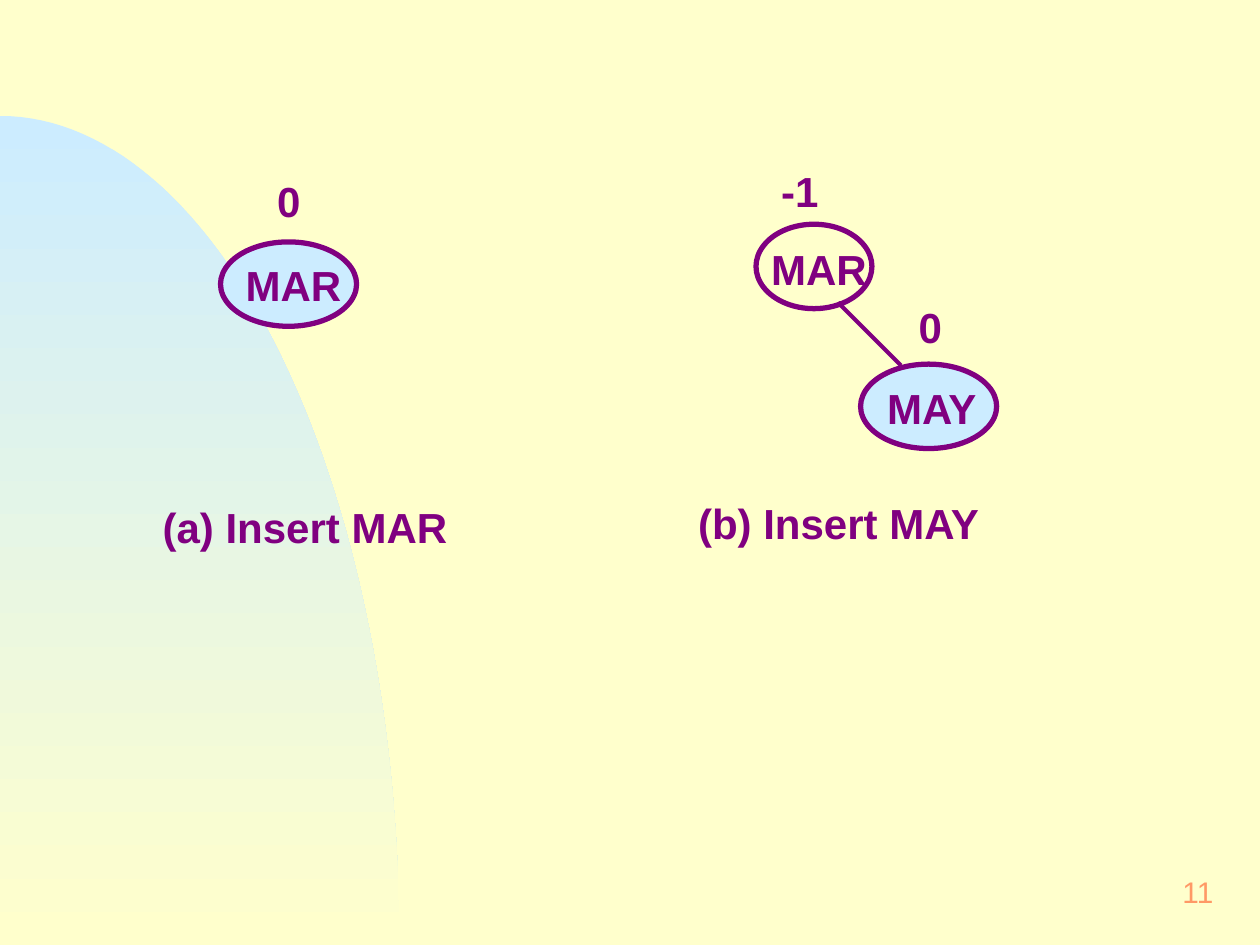
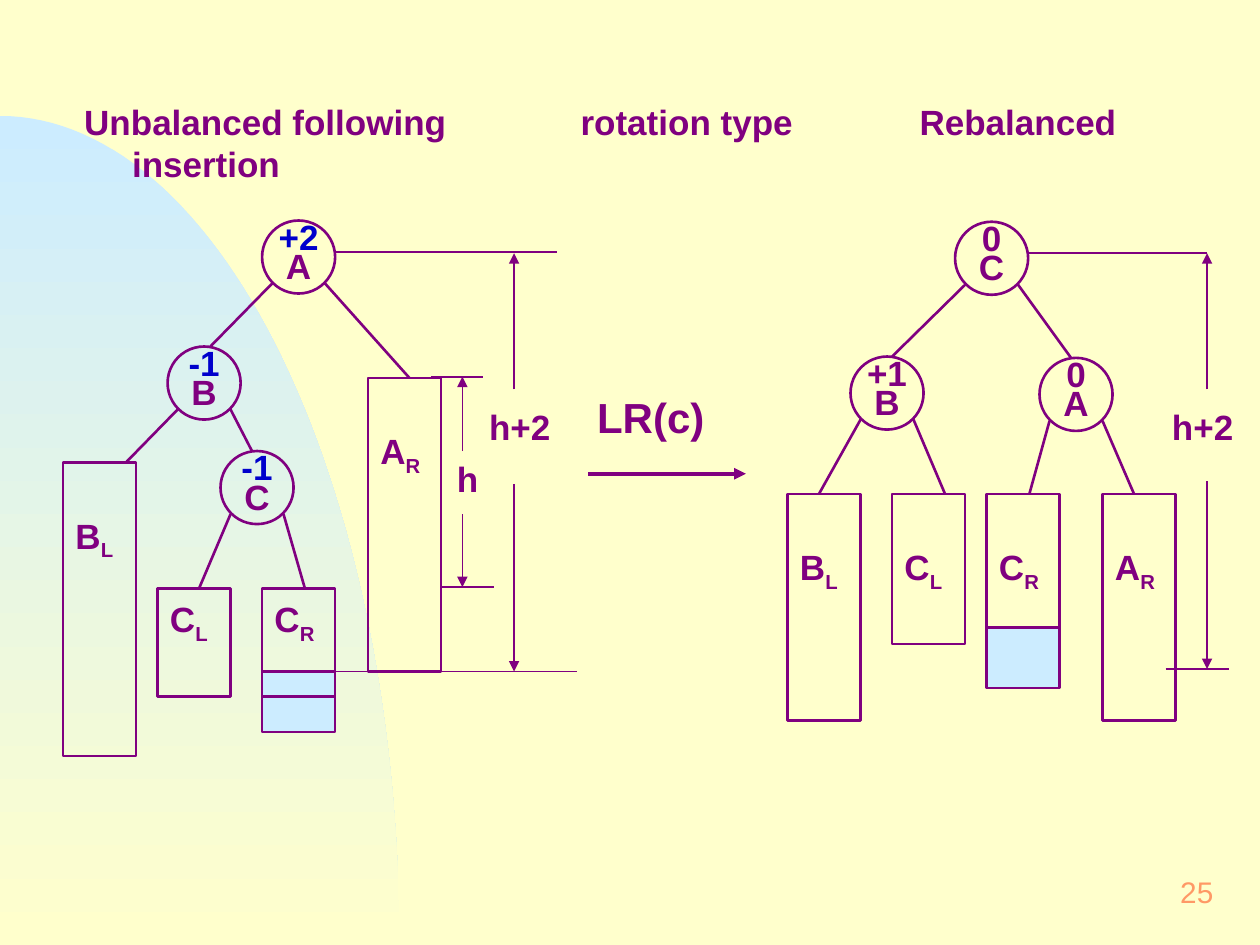
"""Build two slides on AVL trees: the first insertions and an LR(c) rotation."""
from math import cos, pi, sin

from lxml.etree import SubElement
from pptx import Presentation
from pptx.dml.color import RGBColor
from pptx.enum.shapes import MSO_CONNECTOR, MSO_SHAPE
from pptx.enum.text import MSO_ANCHOR, PP_ALIGN
from pptx.oxml.ns import qn
from pptx.util import Inches, Pt

CREAM = RGBColor(0xFF, 0xFF, 0xCC)
SKY = RGBColor(0xCC, 0xEC, 0xFF)
PURPLE = RGBColor(0x80, 0x00, 0x80)
BLUE = RGBColor(0x00, 0x00, 0xCC)
ORANGE = RGBColor(0xFF, 0x99, 0x66)
FONT = "Arial"
WIDTH, HEIGHT = 10, 7.5
NODE = 0.58
WIDE_INSETS = (0.12, 0.06, 0.12, 0.06)
INSETS = (0.1, 0.05, 0.1, 0.05)

KEYS = [
    (1.75, 1.92, 1.08, SKY),
    (6.83, 2.89, 1.08, SKY),
    (6, 1.78, 0.92, None),
]
KEY_EDGE = (7.15, 2.9, 6.65, 2.4)
INSERT_LABELS = [
    ("MAR", 1.83, 2, 1.17),
    ("MAY", 6.92, 2.98, 1.17),
    ("MAR", 6, 1.87, 1.08),
    ("(a) Insert MAR", 1.17, 3.92, 2.75),
    ("(b) Insert MAY", 5.42, 3.89, 2.75),
    ("-1", 6.08, 1.25, 0.83),
    ("0", 7.17, 2.33, 1.17),
    ("0", 2.08, 1.33, 0.83),
]

HEADINGS = [
    ("Unbalanced following insertion", 0.57, 3.2),
    ("rotation type", 4.51, 2),
    ("Rebalanced", 7.2, 2),
]
ROTATION = ("LR(c)", 4.58, 3.17, 1.17, 0.38)
ROTATION_ARROW = (4.67, 3.76, 5.92, 3.76)

UNBALANCED = {
    "balance_color": BLUE,
    "nodes": {"A": ("+2", 2.08, 1.75), "B": ("-1", 1.33, 2.75), "C": ("-1", 1.75, 3.58)},
    "boxes": [
        ("", 2.08, 5.33, 0.48, 0, SKY),
        ("BL", 0.5, 3.67, 2.33, 0.41, None),
        ("CL", 1.25, 4.67, 0.86, 0.07, None),
        ("CR", 2.08, 4.67, 0.86, 0.07, None),
        ("AR", 2.92, 3, 2.33, 0.41, None),
    ],
    "edges": [("A", "left", "B", 0.34), ("A", "right", "AR", 0.33),
              ("B", "left", "BL", 0.5), ("B", "right", "C", 0.25),
              ("C", "left", "CL", 0.33), ("C", "right", "CR", 0.34)],
    "guides": [(2.67, 4.58, 5.33), (2.67, 4.42, 2), (3.5, 3.92, 4.66), (3.42, 3.83, 2.99)],
    "arrows": [(3.67, 3.58, 2.99), (3.67, 4.08, 4.66), (4.08, 3.09, 2.01), (4.08, 3.84, 5.33)],
    "heights": [("h", 3.42, 3.67, 0.58), ("h+2", 3.75, 3.26, 0.75)],
}
REBALANCED = {
    "balance_color": PURPLE,
    "nodes": {"C": ("0", 7.58, 1.76), "B": ("+1", 6.75, 2.83), "A": ("0", 8.25, 2.84)},
    "boxes": [
        ("BL", 6.25, 3.92, 1.8, 0.41, None),
        ("CL", 7.08, 3.92, 1.19, 0.41, None),
        ("CR", 7.83, 3.92, 1.19, 0.41, None),
        ("AR", 8.75, 3.92, 1.8, 0.41, None),
        ("", 7.83, 4.98, 0.48, 0, SKY),
    ],
    "edges": [("C", "left", "B", 0.33), ("C", "right", "A", 0.25),
              ("B", "left", "BL", 0.25), ("B", "right", "CL", 0.42),
              ("A", "left", "CR", 0.34), ("A", "right", "AR", 0.25)],
    "guides": [(9.25, 9.75, 5.31), (8.17, 9.58, 2.01)],
    "arrows": [(9.58, 3.09, 2.01), (9.58, 3.82, 5.31)],
    "heights": [("h+2", 9.17, 3.26, 0.75)],
}


def set_frame(tf, insets, anchor=MSO_ANCHOR.TOP):
    tf.word_wrap = True
    tf.vertical_anchor = anchor
    tf.margin_left, tf.margin_top, tf.margin_right, tf.margin_bottom = map(Inches, insets)


def add_run(p, text, size=20, color=PURPLE, bold=True):
    r = p.add_run()
    r.text = text
    r.font.name = FONT
    r.font.size = Pt(size)
    r.font.bold = bold
    r.font.color.rgb = color
    return r


def add_box(s, x, y, w, h, insets=INSETS, anchor=MSO_ANCHOR.TOP):
    tf = s.shapes.add_textbox(*map(Inches, (x, y, w, h))).text_frame
    set_frame(tf, insets, anchor)
    return tf


def add_centred(s, lines, x, y, w, h, size=20):
    tf = add_box(s, x, y, w, h)
    for i, (text, color) in enumerate(lines):
        p = tf.add_paragraph() if i else tf.paragraphs[0]
        p.alignment = PP_ALIGN.CENTER
        p.line_spacing = 0.7
        add_run(p, text, size, color)


def add_outline(s, kind, x, y, w, h, fill=None, width=1.5):
    sp = s.shapes.add_shape(kind, *map(Inches, (x, y, w, h)))
    sp.shadow.inherit = False
    if fill is None:
        sp.fill.background()
    else:
        sp.fill.solid()
        sp.fill.fore_color.rgb = fill
    sp.line.color.rgb = PURPLE
    sp.line.width = Pt(width)
    return sp


def add_line(s, x1, y1, x2, y2, width=1.5, arrow=False):
    c = s.shapes.add_connector(MSO_CONNECTOR.STRAIGHT, *map(Inches, (x1, y1, x2, y2)))
    c.line.color.rgb = PURPLE
    c.line.width = Pt(width)
    if arrow:
        SubElement(c.line._get_or_add_ln(), qn("a:tailEnd"), type="triangle")
    SubElement(c._element.spPr, qn("a:effectLst"))


def add_slide(prs, number):
    s = prs.slides.add_slide(prs.slide_layouts[6])
    rx, ry, steps = 3.17, 6.58, 60
    angles = [pi / 2 * i / steps for i in range(steps + 1)]
    arc = [(Inches(rx * sin(a)), Inches(HEIGHT - ry * cos(a))) for a in angles]
    builder = s.shapes.build_freeform(*arc[0])
    builder.add_line_segments(arc[1:] + [(0, Inches(HEIGHT))], close=True)
    sp = builder.convert_to_shape()
    sp.shadow.inherit = False
    sp.line.fill.background()
    sp.fill.gradient()
    sp.fill.gradient_angle = 270
    for stop, position, color in zip(sp.fill.gradient_stops, (0, 1), (SKY, CREAM)):
        stop.position = position
        stop.color.rgb = color
    p = add_box(s, 7.67, 6.83, 2.08, 0.5, WIDE_INSETS, MSO_ANCHOR.MIDDLE).paragraphs[0]
    p.alignment = PP_ALIGN.RIGHT
    add_run(p, number, 17, ORANGE, False)
    return s


def add_tree(s, tree):
    tops = {}
    for label, x, y, h, inset, fill in tree["boxes"]:
        sp = add_outline(s, MSO_SHAPE.RECTANGLE, x, y, NODE, h, fill)
        if label:
            tops[label] = x, y
            set_frame(sp.text_frame, (0.1, inset, 0.1, 0.05))
            p = sp.text_frame.paragraphs[0]
            p.alignment = PP_ALIGN.LEFT
            add_run(p, label[0])
            add_run(p, label[1]).font._element.set("baseline", "-25000")
    for key, (balance, x, y) in tree["nodes"].items():
        tops[key] = x, y
        add_centred(s, [(balance, tree["balance_color"]), (key, PURPLE)], x, y, NODE, 0.57)
        add_outline(s, MSO_SHAPE.OVAL, x, y, NODE, NODE)
    for parent, side, child, offset in tree["edges"]:
        x, y = tops[parent]
        cx, cy = tops[child]
        add_line(s, x + (0.08 if side == "left" else 0.5), y + 0.5, cx + offset, cy)
    for x1, x2, y in tree["guides"]:
        add_line(s, x1, y, x2, y, 1)
    for x, y1, y2 in tree["arrows"]:
        add_line(s, x, y1, x, y2, 1, arrow=True)
    for text, x, y, w in tree["heights"]:
        add_centred(s, [(text, PURPLE)], x, y, w, 0.34)


def build_insertions(prs):
    s = add_slide(prs, "11")
    add_line(s, *KEY_EDGE, width=2.25)
    for x, y, w, fill in KEYS:
        add_outline(s, MSO_SHAPE.OVAL, x, y, w, 0.67, fill, 3)
    for text, x, y, w in INSERT_LABELS:
        p = add_box(s, x, y, w, 0.52, WIDE_INSETS).paragraphs[0]
        p.space_before = Pt(6)
        add_run(p, text, 24)


def build_rotation(prs):
    s = add_slide(prs, "25")
    for text, x, w in HEADINGS:
        p = add_box(s, x, 0.75, w, 0.77).paragraphs[0]
        pPr = p._p.get_or_add_pPr()
        pPr.set("marL", str(Inches(0.38)))
        pPr.set("indent", str(-Inches(0.38)))
        add_run(p, text)
    add_tree(s, UNBALANCED)
    text, *place = ROTATION
    add_centred(s, [(text, PURPLE)], *place, size=24)
    add_line(s, *ROTATION_ARROW, width=2.25, arrow=True)
    add_tree(s, REBALANCED)


prs = Presentation()
prs.slide_width, prs.slide_height = Inches(WIDTH), Inches(HEIGHT)
prs.slide_master.background.fill.solid()
prs.slide_master.background.fill.fore_color.rgb = CREAM
build_insertions(prs)
build_rotation(prs)
prs.save("out.pptx")
